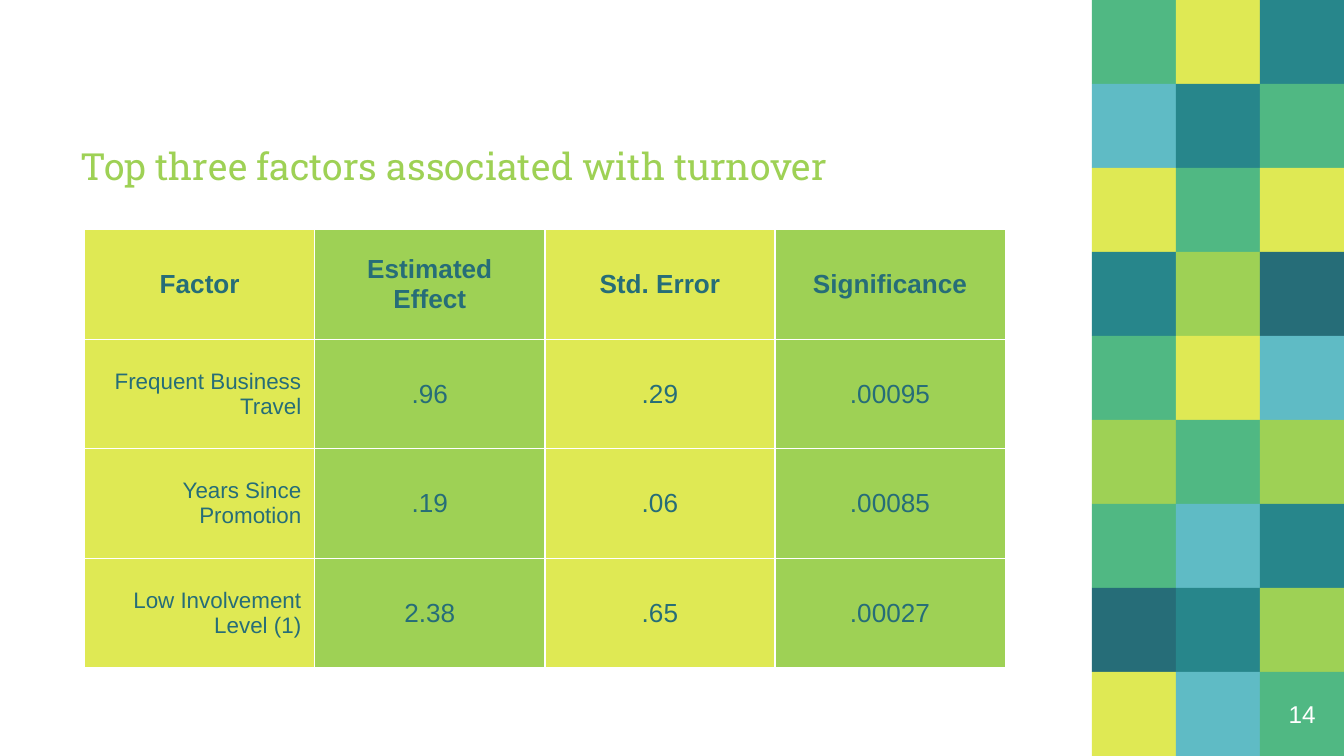
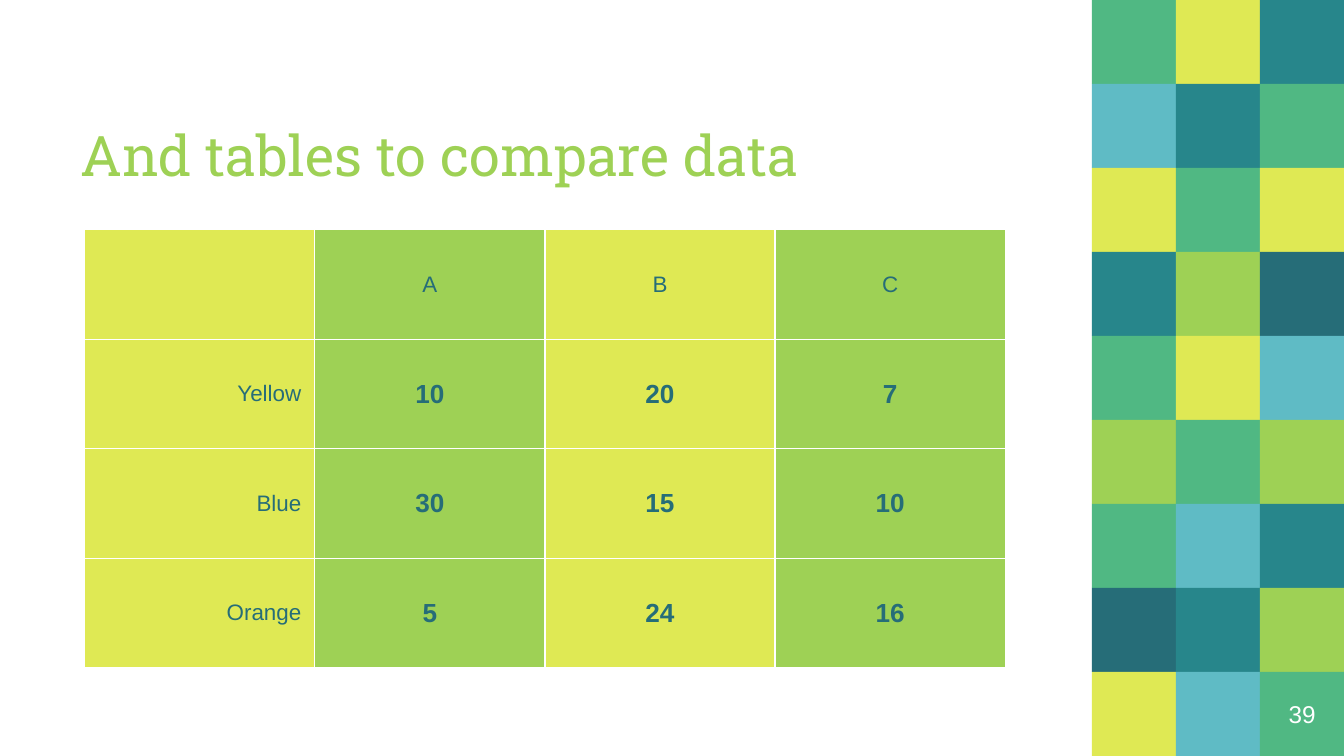
from dataclasses import dataclass

from lxml.etree import SubElement
from pptx import Presentation
from pptx.dml.color import RGBColor as RGB
from pptx.enum.shapes import MSO_SHAPE as SHAPE
from pptx.enum.text import MSO_ANCHOR as ANCHOR, PP_ALIGN as ALIGN
from pptx.oxml.ns import qn
from pptx.util import Inches, Pt


@dataclass(frozen=True)
class Theme:
    yellow: str = "DFE954"
    green: str = "9ED155"
    mint: str = "50B883"
    sky: str = "5FBBC5"
    teal: str = "27868B"
    navy: str = "266D78"
    white: str = "FFFFFF"
    title_font: str = "Roboto Slab"
    body_font: str = "Arial"
    label_size: int = 12
    number_size: int = 13
    value_size: int = 14
    border: float = 0.75


THEME = Theme()
WIDTH = Inches(10)
TILE = WIDTH // 16
MOSAIC = (
    ("mint", "yellow", "teal"),
    ("sky", "teal", "mint"),
    ("yellow", "mint", "yellow"),
    ("teal", "green", "navy"),
    ("mint", "yellow", "sky"),
    ("green", "mint", "green"),
    ("mint", "sky", "teal"),
    ("navy", "teal", "green"),
    ("yellow", "sky", "mint"),
)
HEIGHT = TILE * len(MOSAIC)
MOSAIC_LEFT = WIDTH - TILE * len(MOSAIC[0])


def style_text(p, text, font, size, color, bold=False, align=ALIGN.LEFT):
    p.text = text
    p.alignment = align
    p.font.name = font
    p.font.size = Pt(size)
    p.font.bold = bold
    p.font.color.rgb = RGB.from_string(color)


def add_text(slide, box, text, anchor, **style):
    tf = slide.shapes.add_textbox(*box).text_frame
    tf.word_wrap = True
    tf.vertical_anchor = anchor
    tf.margin_left = tf.margin_right = Inches(0.1)
    tf.margin_top = tf.margin_bottom = Inches(0.1)
    style_text(tf.paragraphs[0], text, **style)


def add_mosaic(slide):
    for row, names in enumerate(MOSAIC):
        for col, name in enumerate(names):
            sp = slide.shapes.add_shape(
                SHAPE.RECTANGLE, MOSAIC_LEFT + col * TILE, row * TILE, TILE, TILE)
            sp.shadow.inherit = False
            sp.fill.solid()
            sp.fill.fore_color.rgb = RGB.from_string(getattr(THEME, name))
            sp.line.fill.background()


def add_title(slide, text, size):
    box = Inches(0.5), Inches(0.56), Inches(7.01), Inches(0.94)
    add_text(slide, box, text, ANCHOR.BOTTOM,
             font=THEME.title_font, size=size, color=THEME.green)


def add_page_number(slide, number):
    box = WIDTH - TILE, HEIGHT - TILE, TILE, TILE
    add_text(slide, box, str(number), ANCHOR.MIDDLE, font=THEME.body_font,
             size=THEME.number_size, color=THEME.white, align=ALIGN.CENTER)


def fill_cell(cell, color):
    tc_pr = cell._tc.get_or_add_tcPr()
    for side in ("lnL", "lnR", "lnT", "lnB"):
        ln = SubElement(tc_pr, qn(f"a:{side}"), w=str(Pt(THEME.border)))
        fill = SubElement(ln, qn("a:solidFill"))
        SubElement(fill, qn("a:srgbClr"), val=THEME.white)
    cell.fill.solid()
    cell.fill.fore_color.rgb = RGB.from_string(color)


def add_data_table(slide, rows, header_size, header_bold, value_bold):
    table = slide.shapes.add_table(
        len(rows), len(rows[0]),
        Inches(0.63), Inches(1.71), Inches(6.85), Inches(3.26)).table
    table.first_row = table.horz_banding = False
    for r, row in enumerate(rows):
        for c, text in enumerate(row):
            if r == 0:
                size, bold, align = header_size, header_bold, ALIGN.CENTER
            elif c == 0:
                size, bold, align = THEME.label_size, False, ALIGN.RIGHT
            else:
                size, bold, align = THEME.value_size, value_bold, ALIGN.CENTER
            cell = table.cell(r, c)
            fill_cell(cell, THEME.green if c % 2 else THEME.yellow)
            cell.vertical_anchor = ANCHOR.MIDDLE
            cell.margin_left = cell.margin_right = Inches(0.1)
            cell.margin_top = cell.margin_bottom = Inches(0.07)
            if text:
                style_text(cell.text_frame.paragraphs[0], text,
                           THEME.body_font, size, THEME.navy, bold, align)


def add_table_slide(prs, title, title_size, number, rows, **table_style):
    slide = prs.slides.add_slide(prs.slide_layouts[6])
    add_mosaic(slide)
    add_title(slide, title, title_size)
    add_data_table(slide, rows, **table_style)
    add_page_number(slide, number)


def main():
    prs = Presentation()
    prs.slide_width, prs.slide_height = WIDTH, HEIGHT
    turnover = (
        ("Factor", "Estimated Effect", "Std. Error", "Significance"),
        ("Frequent Business Travel", ".96", ".29", ".00095"),
        ("Years Since Promotion", ".19", ".06", ".00085"),
        ("Low Involvement Level (1)", "2.38", ".65", ".00027"),
    )
    comparison = (
        ("", "A", "B", "C"),
        ("Yellow", "10", "20", "7"),
        ("Blue", "30", "15", "10"),
        ("Orange", "5", "24", "16"),
    )
    add_table_slide(prs, "Top three factors associated with turnover", 20, 14,
                    turnover, header_size=THEME.value_size,
                    header_bold=True, value_bold=False)
    add_table_slide(prs, "And tables to compare data", 30, 39,
                    comparison, header_size=THEME.label_size,
                    header_bold=False, value_bold=True)
    prs.save("out.pptx")


if __name__ == "__main__":
    main()
